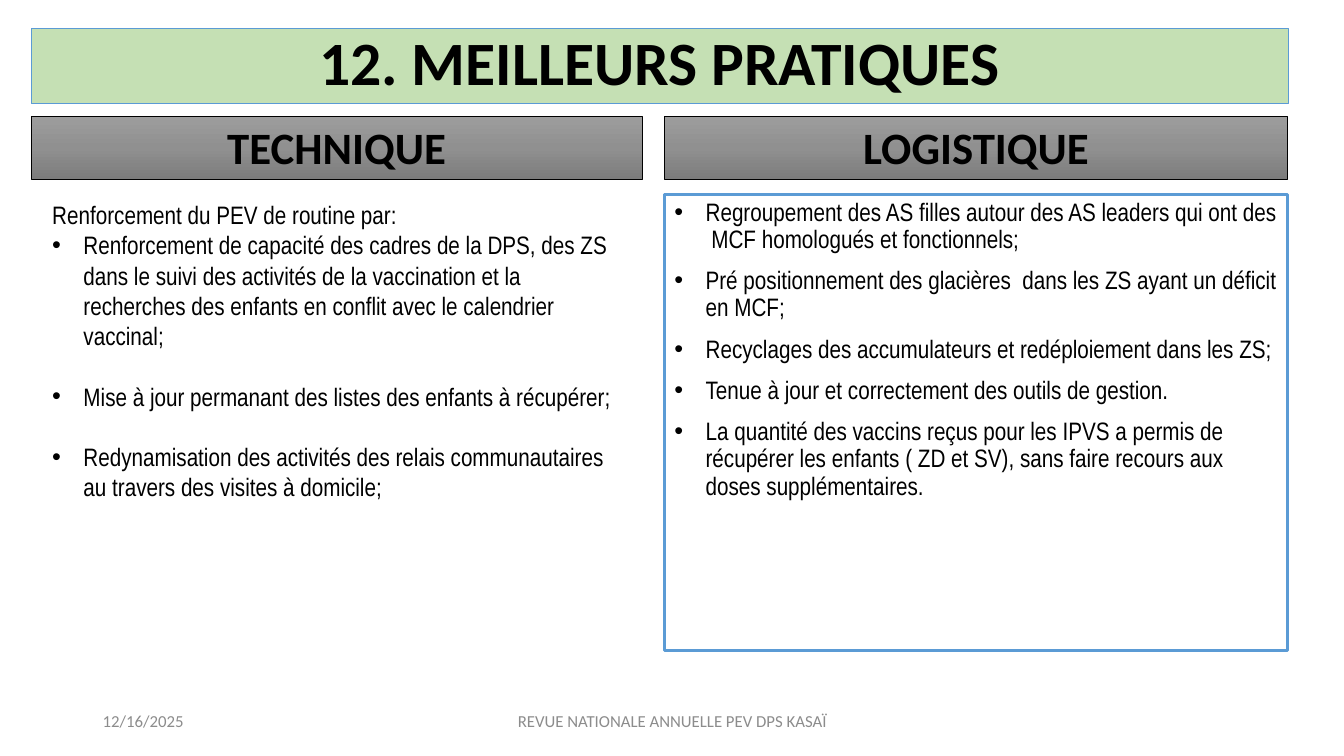
from copy import deepcopy

from lxml.etree import SubElement
from pptx import Presentation
from pptx.dml.color import RGBColor
from pptx.enum.shapes import MSO_SHAPE
from pptx.enum.text import MSO_ANCHOR, PP_ALIGN
from pptx.oxml.ns import qn
from pptx.util import Inches, Pt

COLORS = {"text": "000000", "green": "C5E0B4", "blue": "5B9BD5", "foot": "8C8C8C"}
GREYS = [(0, "9D9D9D"), (0.5, "909090"), (1, "7C7C7C")]
INDENT = 0.31

INTRO = "Renforcement du PEV de routine par:"
TECH = [
    "Renforcement de capacité des cadres de la DPS, des ZS dans le suivi des activités "
    "de la vaccination et la recherches des enfants en conflit avec le calendrier vaccinal;",
    "Mise à jour permanant des listes des enfants à récupérer;",
    "Redynamisation des activités des relais communautaires au travers des visites à domicile;",
]
LOGIS = [
    "Regroupement des AS filles autour des AS leaders qui ont des  MCF homologués et fonctionnels;",
    "Pré positionnement des glacières  dans les ZS ayant un déficit en MCF;",
    "Recyclages des accumulateurs et redéploiement dans les ZS;",
    "Tenue à jour et correctement des outils de gestion.",
    "La quantité des vaccins reçus pour les IPVS a permis de récupérer les enfants "
    "( ZD et SV), sans faire recours aux doses supplémentaires.",
]


def rgb(code):
    return RGBColor.from_string(code)


def add_rect(slide, box, edge, width):
    rect = slide.shapes.add_shape(MSO_SHAPE.RECTANGLE, *map(Inches, box))
    rect.shadow.inherit = False
    rect.fill.background()
    rect.line.color.rgb = rgb(edge)
    rect.line.width = Pt(width)
    return rect


def add_text(slide, box):
    return slide.shapes.add_textbox(*map(Inches, box))


def shade(rect):
    """Fill with the three greys, from top to bottom."""
    fill = rect.fill
    fill.gradient()
    fill.gradient_angle = 270
    stops = rect._element.spPr.find(".//" + qn("a:gsLst"))
    stops.insert(1, deepcopy(stops[0]))
    for stop, (place, code) in zip(fill.gradient_stops, GREYS):
        stop.position = place
        stop.color.rgb = rgb(code)


def set_frame(shape, anchor):
    frame = shape.text_frame
    frame.word_wrap = True
    frame.vertical_anchor = anchor
    return frame


def style(para, size, face="Calibri", color="text", bold=False):
    font = para.font
    font.size, font.name, font.bold = Pt(size), face, bold
    font.color.rgb = rgb(COLORS[color])


def set_label(shape, text, size, anchor=MSO_ANCHOR.MIDDLE, align=PP_ALIGN.CENTER,
              color="text", bold=True):
    para = set_frame(shape, anchor).paragraphs[0]
    para.text = text
    para.alignment = align
    para.line_spacing = 0.9 if bold else 1.0
    style(para, size, color=color, bold=bold)


def add_bullet(para):
    props = para._p.get_or_add_pPr()
    props.set("marL", str(Inches(INDENT)))
    props.set("indent", str(-Inches(INDENT)))
    SubElement(props, qn("a:buFont"), typeface="Arial")
    SubElement(props, qn("a:buChar"), char="•")


def set_list(shape, items, gap, spacing, intro=None):
    """Write an optional plain line, then bullets set apart by gap points."""
    frame = set_frame(shape, MSO_ANCHOR.TOP)
    lines = ([intro] if intro else []) + items
    for row, text in enumerate(lines):
        para = frame.paragraphs[0] if row == 0 else frame.add_paragraph()
        para.text = text
        para.alignment = PP_ALIGN.LEFT
        para.line_spacing = spacing
        para.space_before = Pt(gap if text in items[1:] else 0)
        if text != intro:
            add_bullet(para)
        style(para, 18, "Arial Narrow")


def main():
    deck = Presentation()
    deck.slide_width, deck.slide_height = Inches(13.33), Inches(7.5)
    slide = deck.slides.add_slide(deck.slide_layouts[6])

    title = add_rect(slide, (0.31, 0.28, 12.47, 0.75), COLORS["blue"], 0.5)
    title.fill.solid()
    title.fill.fore_color.rgb = rgb(COLORS["green"])
    set_label(title, "12. MEILLEURS PRATIQUES", 44)

    for left, width, name in ((0.31, 6.06, "TECHNIQUE"), (6.59, 6.18, "LOGISTIQUE")):
        head = add_rect(slide, (left, 1.15, width, 0.63), COLORS["text"], 0.5)
        shade(head)
        set_label(head, name, 32, MSO_ANCHOR.BOTTOM)

    set_list(add_text(slide, (0.42, 1.93, 5.9, 3.13)), TECH, 21.6, 1.0, INTRO)
    panel = add_rect(slide, (6.59, 1.93, 6.18, 4.52), COLORS["blue"], 2.25)
    set_list(panel, LOGIS, 10, 0.9)

    for left, width, text, align in (
        (0.92, 3, "12/16/2025", PP_ALIGN.LEFT),
        (4.42, 4.5, "REVUE NATIONALE ANNUELLE PEV DPS KASAÏ", PP_ALIGN.CENTER),
    ):
        foot = add_text(slide, (left, 6.95, width, 0.4))
        set_label(foot, text, 12, align=align, color="foot", bold=False)

    deck.save("out.pptx")


if __name__ == "__main__":
    main()
